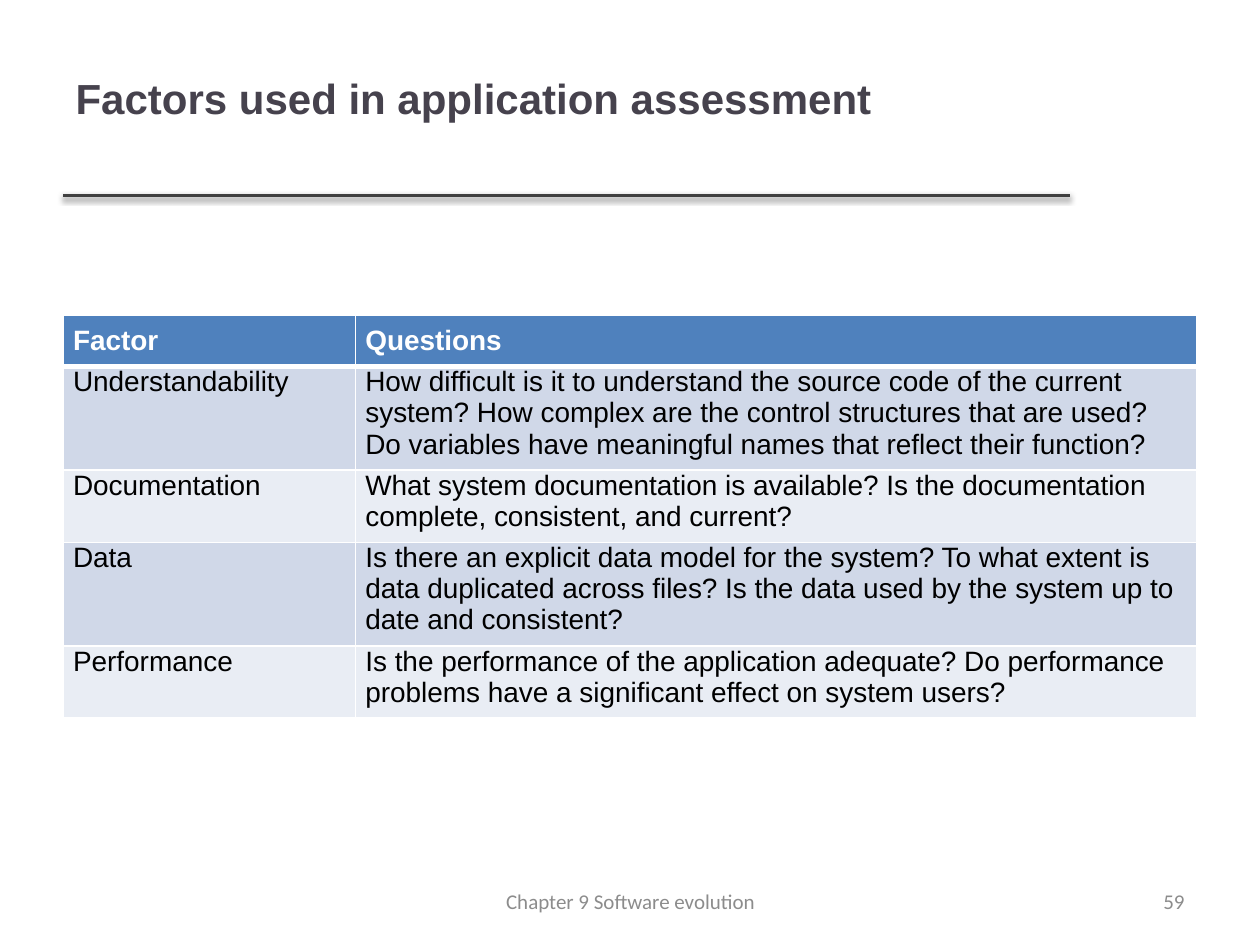
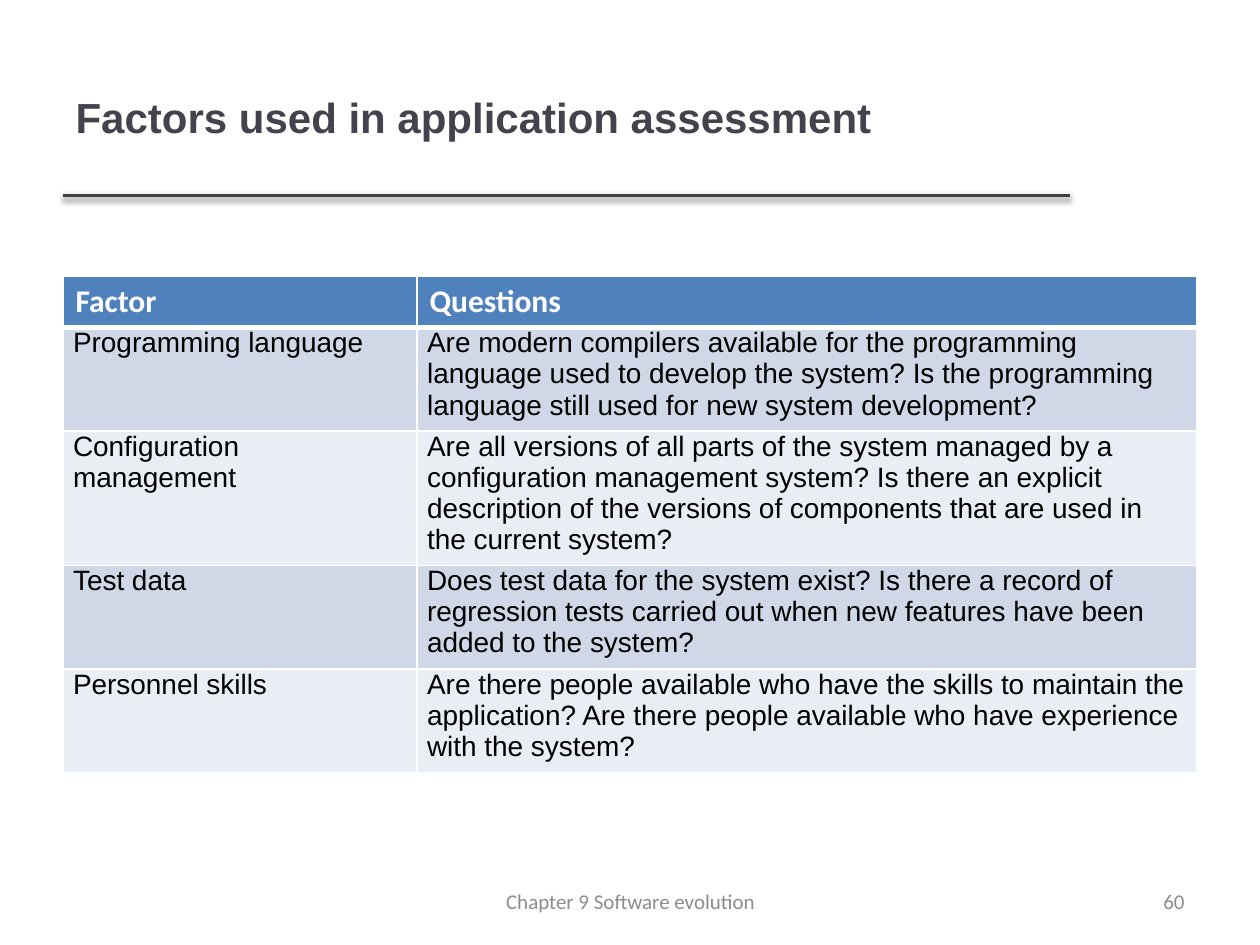
import pptx
import pptx.dml.color
import pptx.enum.shapes
import pptx.enum.text
import pptx.oxml
import pptx.oxml.ns
import pptx.util
from pptx.util import Inches

RGBColor = pptx.dml.color.RGBColor
Align = pptx.enum.text.PP_ALIGN
Anchor = pptx.enum.text.MSO_ANCHOR

TITLE_COLOR = RGBColor(0x46, 0x42, 0x4D)
RULE_COLOR = RGBColor(0x40, 0x40, 0x40)
FOOTER_COLOR = RGBColor(0x8C, 0x8C, 0x8C)
HEADER_FILL = RGBColor(0x4F, 0x81, 0xBD)
BAND_FILLS = (RGBColor(0xD0, 0xD8, 0xE8), RGBColor(0xE9, 0xED, 0xF4))
WHITE = RGBColor(0xFF, 0xFF, 0xFF)
BLACK = RGBColor(0, 0, 0)

TITLE = "Factors used in application assessment"
FOOTER = "Chapter 9 Software evolution"
HEADINGS = ("Factor", "Questions")
ROW_HEIGHT = Inches(0.41)
# Cell margins: left, top, right, bottom
HEADER_MARGINS = (0.08, 0.08, 0.08, 0.08)
PLAIN_MARGINS = (0.1, 0.05, 0.1, 0.05)
BODY_MARGINS = (0.08, 0, 0.08, 0.08)

SLIDES = [
    {
        "number": 59,
        "title_box": (0.5, 0.15, 9, 1.25),
        "table_box": (0.5, 2.5, 9, 3.41),
        "factor_width": 2.32,
        "header": {"size": 16, "font": "Arial", "space_after": 6, "margins": HEADER_MARGINS},
        "factors": [
            ("Understandability",
             "How difficult is it to understand the source code of the current system? "
             "How complex are the control structures that are used? "
             "Do variables have meaningful names that reflect their function?"),
            ("Documentation",
             "What system documentation is available? "
             "Is the documentation complete, consistent, and current?"),
            ("Data",
             "Is there an explicit data model for the system? "
             "To what extent is data duplicated across files? "
             "Is the data used by the system up to date and consistent?"),
            ("Performance",
             "Is the performance of the application adequate? "
             "Do performance problems have a significant effect on system users?"),
        ],
    },
    {
        "number": 60,
        "title_box": (0.5, 0.3, 7.98, 1.25),
        "table_box": (0.5, 2.19, 9, 4.19),
        "factor_width": 2.81,
        "header": {"size": 18, "font": "Calibri", "space_after": 0, "margins": PLAIN_MARGINS},
        "factors": [
            ("Programming language",
             "Are modern compilers available for the programming language used to "
             "develop the system? Is the programming language still used for new "
             "system development?"),
            ("Configuration management",
             "Are all versions of all parts of the system managed by a configuration "
             "management system? Is there an explicit description of the versions of "
             "components that are used in the current system?"),
            ("Test data",
             "Does test data for the system exist? Is there a record of regression "
             "tests carried out when new features have been added to the system?"),
            ("Personnel skills",
             "Are there people available who have the skills to maintain the "
             "application? Are there people available who have experience with the "
             "system?"),
        ],
    },
]


def write(text_frame, text, size, font, color, bold=False, align=Align.LEFT, space_after=0):
    paragraph = text_frame.paragraphs[0]
    paragraph.alignment = align
    paragraph.space_after = pptx.util.Pt(space_after)
    run = paragraph.add_run()
    run.text = text
    run.font.size = pptx.util.Pt(size)
    run.font.name = font
    run.font.bold = bold
    run.font.color.rgb = color


def add_title(slide, box):
    title = slide.shapes.title
    title.left, title.top, title.width, title.height = map(Inches, box)
    title.text_frame.vertical_anchor = Anchor.MIDDLE
    write(title.text_frame, TITLE, 24, "Arial", TITLE_COLOR, bold=True)


def add_title_rule(slide):
    """Draw the line under the title with its soft shadow."""
    rule = slide.shapes.add_connector(
        pptx.enum.shapes.MSO_CONNECTOR.STRAIGHT,
        Inches(0.5), Inches(1.55), Inches(8.49), Inches(1.55))
    rule.line.color.rgb = RULE_COLOR
    rule.line.width = pptx.util.Pt(2)
    blur, distance = pptx.util.Pt(3.1), pptx.util.Pt(1.6)
    rule._element.spPr.append(pptx.oxml.parse_xml(
        f'<a:effectLst {pptx.oxml.ns.nsdecls("a")}>'
        f'<a:outerShdw blurRad="{blur}" dist="{distance}" dir="5400000" rotWithShape="0">'
        '<a:srgbClr val="000000"><a:alpha val="38000"/></a:srgbClr>'
        '</a:outerShdw></a:effectLst>'))


def add_footer_text(slide, box, text, align):
    text_box = slide.shapes.add_textbox(*map(Inches, box))
    text_box.text_frame.word_wrap = True
    text_box.text_frame.vertical_anchor = Anchor.MIDDLE
    write(text_box.text_frame, text, 12, "Calibri", FOOTER_COLOR, align=align)


def add_borders(cell, top, bottom):
    """Give the cell white borders; the side ones are one point wide."""
    properties = cell._tc.get_or_add_tcPr()
    for side, width in (("L", 1), ("R", 1), ("T", top), ("B", bottom)):
        properties.append(pptx.oxml.parse_xml(
            f'<a:ln{side} {pptx.oxml.ns.nsdecls("a")} w="{pptx.util.Pt(width)}">'
            f'<a:solidFill><a:srgbClr val="{WHITE}"/></a:solidFill></a:ln{side}>'))


def format_cell(cell, fill, margins, top=1, bottom=1):
    add_borders(cell, top, bottom)
    cell.fill.solid()
    cell.fill.fore_color.rgb = fill
    (cell.margin_left, cell.margin_top,
     cell.margin_right, cell.margin_bottom) = map(Inches, margins)


def add_factor_table(slide, box, factor_width, header, factors):
    left, top, width, height = map(Inches, box)
    frame = slide.shapes.add_table(len(factors) + 1, 2, left, top, width, height)
    table = frame.table
    table.columns[0].width = Inches(factor_width)
    table.columns[1].width = width - Inches(factor_width)
    for row in table.rows:
        row.height = ROW_HEIGHT
    frame.height = height

    for cell, heading in zip(table.rows[0].cells, HEADINGS):
        format_cell(cell, HEADER_FILL, header["margins"], bottom=3)
        write(cell.text_frame, heading, header["size"], header["font"], WHITE,
              bold=True, space_after=header["space_after"])
    for index, factor in enumerate(factors):
        for cell, text in zip(table.rows[index + 1].cells, factor):
            format_cell(cell, BAND_FILLS[index % 2], BODY_MARGINS, top=1 if index else 3)
            write(cell.text_frame, text, 16, "Arial", BLACK, space_after=6)


def add_factor_slide(presentation, content):
    slide = presentation.slides.add_slide(presentation.slide_layouts.get_by_name("Title Only"))
    add_title_rule(slide)
    add_title(slide, content["title_box"])
    add_factor_table(slide, content["table_box"], content["factor_width"],
                     content["header"], content["factors"])
    add_footer_text(slide, (7.17, 6.95, 2.33, 0.4), str(content["number"]), Align.RIGHT)
    add_footer_text(slide, (3.42, 6.95, 3.17, 0.4), FOOTER, Align.CENTER)


def main():
    presentation = pptx.Presentation()
    presentation.slide_width = Inches(10)
    presentation.slide_height = Inches(7.5)
    for content in SLIDES:
        add_factor_slide(presentation, content)
    presentation.save("out.pptx")


if __name__ == "__main__":
    main()
